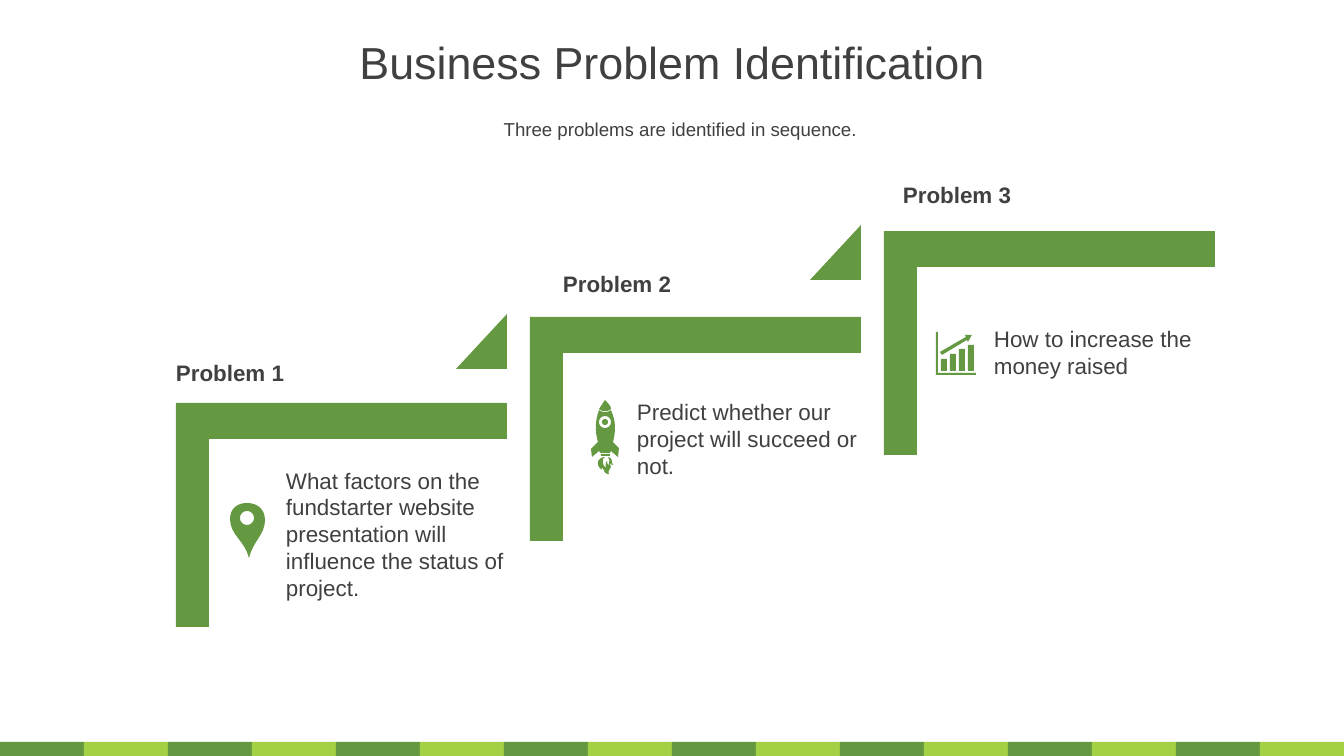
from math import cos, pi, sin

from pptx import Presentation
from pptx.dml.color import RGBColor
from pptx.enum.shapes import MSO_SHAPE
from pptx.enum.text import MSO_ANCHOR, PP_ALIGN
from pptx.util import Pt

RECT = MSO_SHAPE.RECTANGLE
MIDDLE = MSO_ANCHOR.MIDDLE
LEFT, CENTER = PP_ALIGN.LEFT, PP_ALIGN.CENTER

PX = 914400 / 134.4
COLORS = {"green": "649941", "lime": "A4D144", "text": "404040"}
RING = [(cos(pi * i / 16), sin(pi * i / 16)) for i in range(32)]


def add_text(text, box, size, bold=False, align=LEFT):
    sp = s.shapes.add_textbox(*[round(v * PX) for v in box])
    tf = sp.text_frame
    frame = {"word_wrap": True, "vertical_anchor": MIDDLE, "margin_left": round(5 * PX),
             "margin_right": round(5 * PX), "margin_top": round(5 * PX),
             "margin_bottom": round(5 * PX)}
    for name, value in frame.items():
        setattr(tf, name, value)
    p = tf.paragraphs[0]
    p.alignment = align
    r = p.add_run()
    r.text = text
    for name, value in {"name": "Arial", "size": Pt(size), "bold": bold}.items():
        setattr(r.font, name, value)
    r.font.color.rgb = RGBColor.from_string(COLORS["text"])


def add_outline(*contours):
    fb = None
    for contour in contours:
        pts = [contour[0]]
        for step in contour[1:]:
            if len(step) == 2:
                pts.append(step)
                continue
            x0, y0 = pts[-1]
            x1, y1, x2, y2, x3, y3 = step
            for i in range(1, 9):
                t = i / 8
                a, b, c, d = (1 - t) ** 3, 3 * t * (1 - t) ** 2, 3 * t * t * (1 - t), t ** 3
                pts.append((a * x0 + b * x1 + c * x2 + d * x3, a * y0 + b * y1 + c * y2 + d * y3))
        pts = [(round(x * PX), round(y * PX)) for x, y in pts]
        if fb is None:
            fb = s.shapes.build_freeform(*pts[0], scale=1)
        else:
            fb.move_to(*pts[0])
        fb.add_line_segments(pts[1:], close=True)
    sp = fb.convert_to_shape()
    sp.shadow.inherit = False
    sp.fill.solid()
    sp.fill.fore_color.rgb = RGBColor.from_string(COLORS["green"])
    sp.line.fill.background()


prs = Presentation()
prs.slide_width, prs.slide_height = round(1344 * PX), round(756 * PX)
s = prs.slides.add_slide(prs.slide_layouts[6])

for i in range(16):
    sp = s.shapes.add_shape(RECT, *[round(v * PX) for v in (84 * i, 742, 84, 14)])
    sp.shadow.inherit = False
    sp.fill.solid()
    sp.fill.fore_color.rgb = RGBColor.from_string(COLORS["lime" if i % 2 else "green"])
    sp.line.fill.background()

add_text("Business Problem Identification", (0, 19, 1344, 85), 24, align=CENTER)
add_text("Three problems are identified in sequence.", (8, 108, 1344, 42), 10, align=CENTER)

steps = [
    ("Problem 1", 171, (281, 464, 245, 140),
     "What factors on the fundstarter website presentation will influence the status of project."),
    ("Problem 2", 558, (632, 395, 245, 87), "Predict whether our project will succeed or not."),
    ("Problem 3", 898, (989, 321, 245, 62), "How to increase the money raised"),
]
for i, (label, label_x, box, question) in enumerate(steps):
    x, y = 176 + 354 * i, 403 - 86 * i
    add_outline([(x, y), (x + 331, y), (x + 331, y + 36), (x + 33, y + 36),
                 (x + 33, y + 224), (x, y + 224)])
    if i < 2:
        x, y = 456 + 354 * i, 369 - 89 * i
        add_outline([(x, y), (x + 51, y - 55), (x + 51, y)])
    add_text(label, (label_x, 355 - 89 * i, 245, 35), 12, bold=True)
    add_text(question, box, 12)

pin = [(249, 558), (245, 541, 230, 535, 230, 519), (230, 509, 237, 503, 247, 503),
       (258, 503, 265, 510, 265, 520), (265, 535, 253, 541, 249, 558)]
add_outline(pin, [(247 + 7 * c, 518 + 7 * d) for c, d in RING])

nose = [(605, 400), (608, 403, 611, 406, 611, 409), (607, 412, 603, 412, 599, 409),
        (601, 406, 603, 403, 605, 400)]
body = [(599, 410), (603, 413, 607, 413, 611, 410), (616, 421, 616, 431, 613, 442),
        (619, 448), (618, 457), (611, 451), (610, 453), (601, 453), (599, 451),
        (592, 457), (591, 449), (598, 442), (595, 431, 595, 421, 599, 410)]
windows = [[(605 + r * c, 422 + r * d) for c, d in RING] for r in (6, 3)]
nozzle = [(601, 454), (610, 454), (610, 456), (601, 456)]
flame = [(605, 457), (602, 458, 602, 465, 606, 468), (605, 465, 606, 462, 607, 461),
         (608, 462, 606, 464, 609, 465), (608, 462, 611, 461, 608, 457),
         (613, 458, 611, 461, 613, 465), (611, 465, 610, 462, 610, 464),
         (613, 469, 607, 469, 609, 474), (603, 474, 605, 469, 602, 468),
         (602, 468, 601, 468, 602, 470), (594, 464, 599, 457, 605, 457)]
add_outline(nose, body, *windows, nozzle, flame)

bars = [[(x, top), (x + 6, top), (x + 6, 371), (x, 371)]
        for x, top in zip(range(941, 969, 9), (359, 354, 349, 345))]
arrow = [(965, 335), (972, 335), (968, 342), (967, 340), (942, 355), (940, 352), (966, 337)]
axes = [(936, 332), (938, 332), (938, 373), (976, 373), (976, 375), (936, 375)]
add_outline(*bars, arrow, axes)

prs.save("out.pptx")
